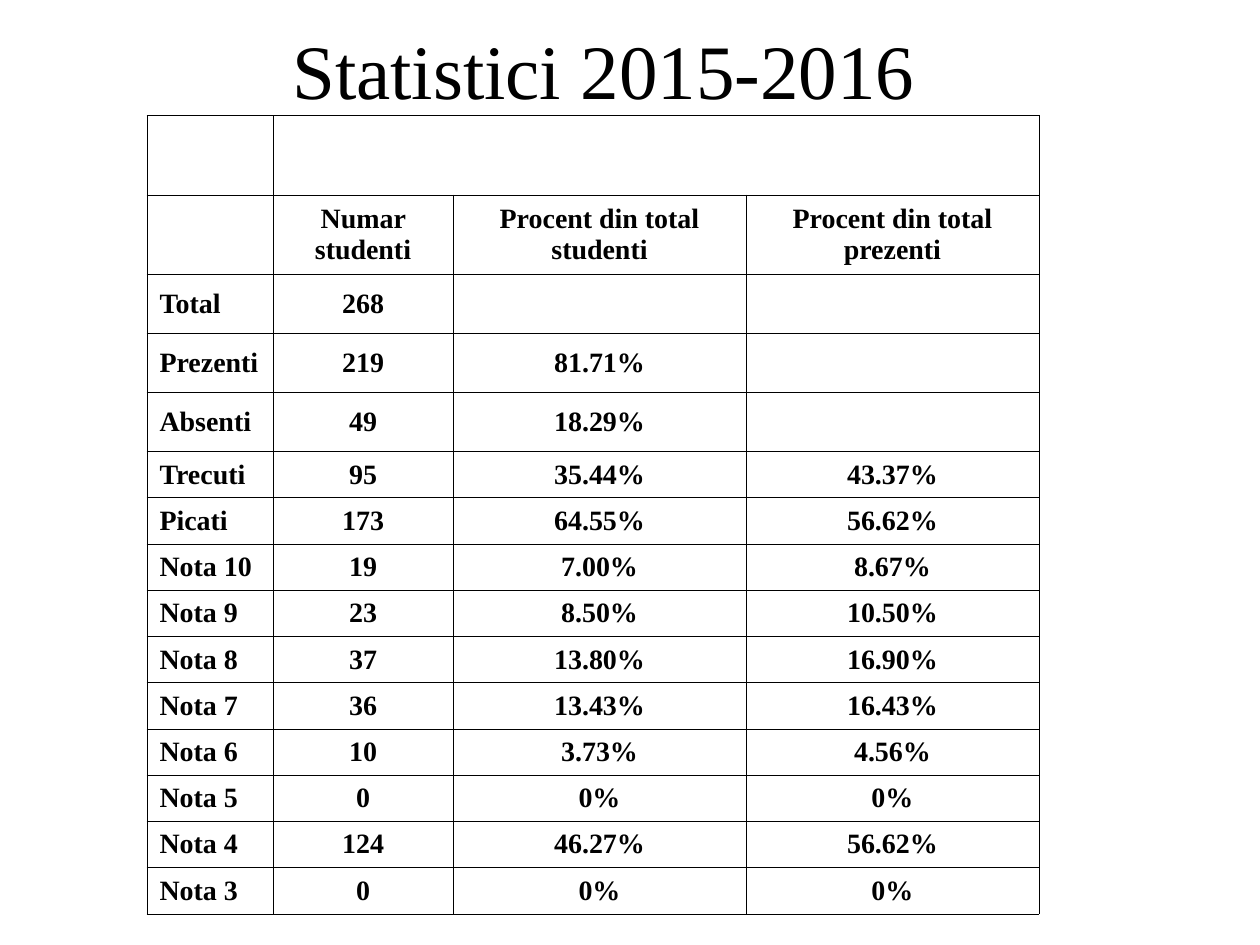
from lxml import etree
from pptx import Presentation
from pptx.dml.color import RGBColor
from pptx.enum import text as t
from pptx.oxml.ns import qn
from pptx.util import Pt

BLACK = RGBColor(0, 0, 0)
FONT = "Times New Roman"
WIDTHS = [72, 102.9, 167.4, 167.4]
HEIGHTS = [45.4] * 2 + [33.7] * 3 + [26.4] * 10
ROWS = [
    ("", "", "", ""),
    ("", "Numar studenti", "Procent din total studenti", "Procent din total prezenti"),
    ("Total", "268", "", ""),
    ("Prezenti", "219", "81.71%", ""),
    ("Absenti", "49", "18.29%", ""),
    ("Trecuti", "95", "35.44%", "43.37%"),
    ("Picati", "173", "64.55%", "56.62%"),
    ("Nota 10", "19", "7.00%", "8.67%"),
    ("Nota 9", "23", "8.50%", "10.50%"),
    ("Nota 8", "37", "13.80%", "16.90%"),
    ("Nota 7", "36", "13.43%", "16.43%"),
    ("Nota 6", "10", "3.73%", "4.56%"),
    ("Nota 5", "0", "0%", "0%"),
    ("Nota 4", "124", "46.27%", "56.62%"),
    ("Nota 3", "0", "0%", "0%"),
]


def put(par, words, size, bold, align):
    par.alignment = align
    run = par.add_run()
    run.text = words
    for key, val in dict(name=FONT, size=Pt(size), bold=bold).items():
        setattr(run.font, key, val)
    run.font.color.rgb = BLACK


def border(cell):
    """Draw a thin black line on all four sides of the cell."""
    props = cell._tc.get_or_add_tcPr()
    for side in ("lnL", "lnR", "lnT", "lnB"):
        line = etree.SubElement(props, qn("a:" + side), w=str(Pt(0.34)))
        fill = etree.SubElement(line, qn("a:solidFill"))
        etree.SubElement(fill, qn("a:srgbClr"), val=str(BLACK))


def title(slide, left, top, width, height):
    box = slide.shapes.add_textbox(Pt(left), Pt(top), Pt(width), Pt(height))
    frame = box.text_frame
    frame.word_wrap = True
    frame.vertical_anchor = t.MSO_ANCHOR.MIDDLE
    put(frame.paragraphs[0], "Statistici 2015-2016", 44, False, t.PP_ALIGN.CENTER)


def grades(slide, left, top):
    frame = slide.shapes.add_table(
        len(ROWS), len(WIDTHS), Pt(left), Pt(top), Pt(sum(WIDTHS)), Pt(sum(HEIGHTS)))
    table = frame.table
    table.first_row = table.horz_banding = False
    for col, width in zip(table.columns, WIDTHS):
        col.width = Pt(width)
    for row, height, words in zip(table.rows, HEIGHTS, ROWS):
        row.height = Pt(height)
        for num, (cell, word) in enumerate(zip(row.cells, words)):
            border(cell)
            cell.fill.background()
            cell.vertical_anchor = t.MSO_ANCHOR.MIDDLE
            if word:
                align = t.PP_ALIGN.CENTER if num else t.PP_ALIGN.LEFT
                put(cell.text_frame.paragraphs[0], word, 16, True, align)
    table.cell(0, 1).merge(table.cell(0, 3))


def main():
    deck = Presentation()
    deck.slide_width, deck.slide_height = Pt(720), Pt(540)
    slide = deck.slides.add_slide(deck.slide_layouts[6])
    title(slide, 96, 0, 498, 78)
    grades(slide, 84, 66)
    deck.save("out.pptx")


if __name__ == "__main__":
    main()
